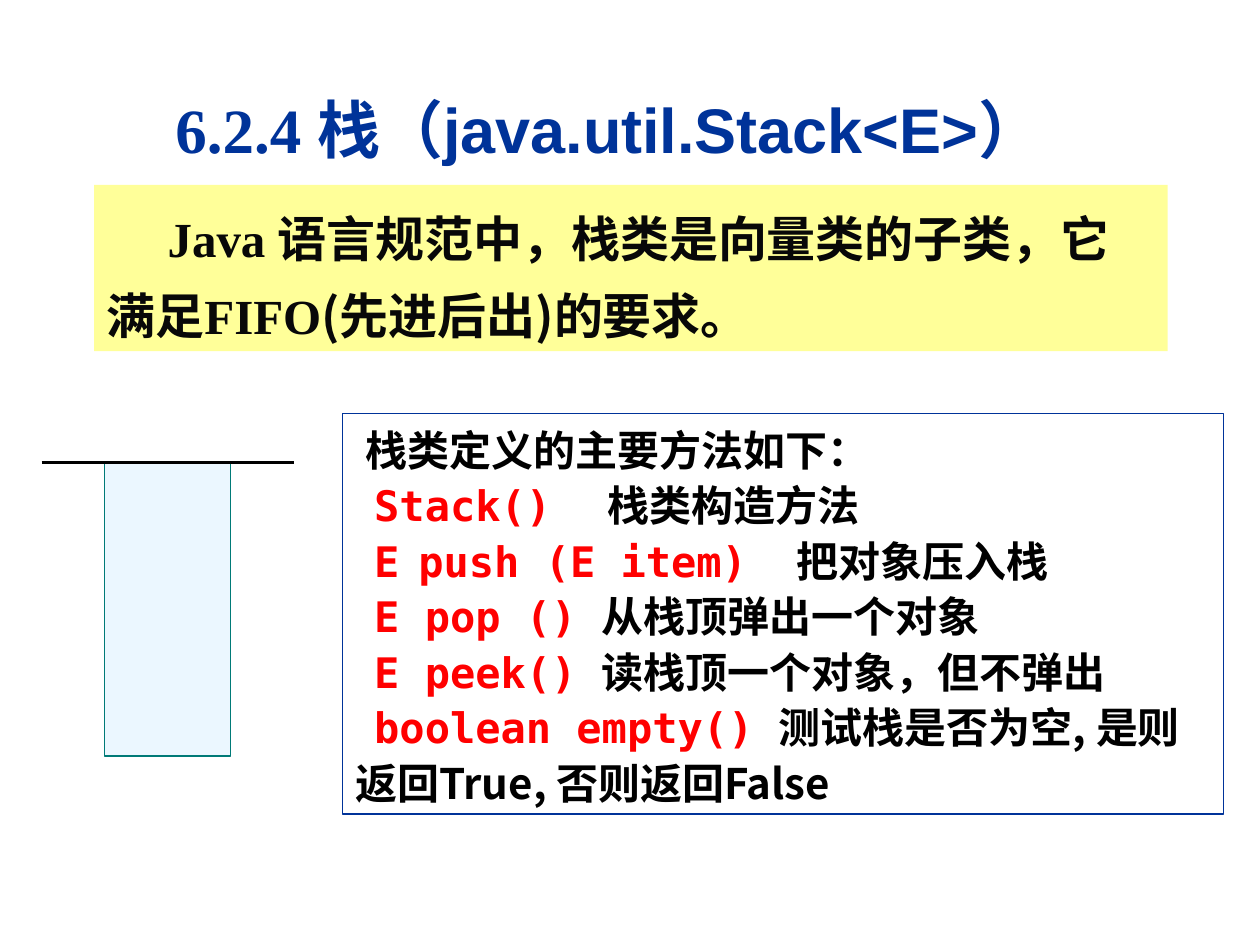
"""Build the slide on the Stack class and its methods."""
from lxml import etree
from pptx import Presentation
from pptx.dml.color import RGBColor
from pptx.enum import shapes, text
from pptx.oxml.ns import qn
from pptx.util import Cm, Pt

COLORS = {"navy": "003399", "black": "000000", "ink": "080808", "red": "FF0000",
          "yellow": "FFFF99", "ice": "EBF7FF", "teal": "007A77"}
CJK, MONO, SERIF, SANS = "Noto Sans CJK SC", "DejaVu Sans Mono", "Times New Roman", "Arial"

TITLE = [("6.2.4 栈", SERIF), ("（java.util.Stack<E>）", SANS)]
INTRO = [("Java ", SERIF), ("语言规范中，栈类是向量类的子类，它满足", CJK),
         ("FIFO", SERIF), ("(先进后出)的要求。", CJK)]
HEADING = "栈类定义的主要方法如下："
METHODS = [
    ("Stack()\t", "栈类构造方法", [6.7]),
    ("E\tpush (E item)\t", "把对象压入栈", [1.9, 9.32]),
    ("E pop () ", "从栈顶弹出一个对象", []),
    ("E peek() ", "读栈顶一个对象，但不弹出", []),
    ("boolean empty() ", "测试栈是否为空, 是则返回True, 否则返回False", []),
]


def rgb(name):
    return RGBColor.from_string(COLORS[name])


def place(sp, left, top, width, height):
    sp.left, sp.top, sp.width, sp.height = Cm(left), Cm(top), Cm(width), Cm(height)


def setup(sp, anchor):
    tf = sp.text_frame
    tf.word_wrap = True
    tf.auto_size = text.MSO_AUTO_SIZE.NONE
    tf.vertical_anchor = anchor
    return tf


def add_run(p, words, font, size, color):
    r = p.add_run()
    r.text = words
    r.font.name, r.font.size, r.font.bold = font, Pt(size), True
    r.font.color.rgb = rgb(color)
    etree.SubElement(r.font._element, qn("a:ea"), typeface=CJK)


def format_paragraph(p, spacing=1.0, indent=0, tabs=(), align=text.PP_ALIGN.LEFT):
    p.alignment, p.line_spacing = align, spacing
    p.space_before = p.space_after = Pt(0)
    pr = p._p.get_or_add_pPr()
    pr.set("marL", "0")
    pr.set("indent", str(Cm(indent)))
    etree.SubElement(pr, qn("a:buNone"))
    if tabs:
        stops = etree.SubElement(pr, qn("a:tabLst"))
        for pos in tabs:
            etree.SubElement(stops, qn("a:tab"), pos=str(Cm(pos)), algn="l")


def add_rect(s, box, fill, line=None):
    sp = s.shapes.add_shape(shapes.MSO_SHAPE.RECTANGLE, *map(Cm, box))
    sp.shadow.inherit = False
    sp.fill.solid()
    sp.fill.fore_color.rgb = rgb(fill)
    if line:
        sp.line.color.rgb, sp.line.width = rgb(line), Pt(0.75)
    else:
        sp.line.fill.background()
    return sp


def main():
    prs = Presentation()
    prs.slide_width, prs.slide_height = Cm(25.4), Cm(19.05)
    s = prs.slides.add_slide(prs.slide_layouts[1])
    title, body = s.placeholders

    place(title, 0.84, 1.47, 22.86, 2.01)
    p = setup(title, text.MSO_ANCHOR.BOTTOM).paragraphs[0]
    format_paragraph(p, align=text.PP_ALIGN.CENTER)
    for words, font in TITLE:
        add_run(p, words, font, 36, "navy")

    place(body, 6.91, 8.33, 17.75, 8.08)
    body.line.color.rgb, body.line.width = rgb("navy"), Pt(0.75)
    tf = setup(body, text.MSO_ANCHOR.TOP)
    p = tf.paragraphs[0]
    format_paragraph(p, spacing=1.1, indent=0.2)
    add_run(p, HEADING, CJK, 24, "black")
    for code, meaning, tabs in METHODS:
        p = tf.add_paragraph()
        format_paragraph(p, spacing=1.1, indent=0.38, tabs=tabs)
        add_run(p, code, MONO, 24, "red")
        add_run(p, meaning, CJK, 24, "black")

    intro = add_rect(s, (1.9, 3.73, 21.64, 3.35), "yellow")
    p = setup(intro, text.MSO_ANCHOR.TOP).paragraphs[0]
    format_paragraph(p, spacing=1.3, indent=1.23)
    for words, font in INTRO:
        add_run(p, words, font, 28, "ink")

    add_rect(s, (2.11, 9.32, 2.54, 5.92), "ice", "teal")
    rim = s.shapes.add_connector(shapes.MSO_CONNECTOR.STRAIGHT,
                                 Cm(0.84), Cm(9.32), Cm(5.92), Cm(9.32))
    rim.line.color.rgb, rim.line.width = rgb("black"), Pt(2)
    etree.SubElement(rim._element.spPr, qn("a:effectLst"))
    prs.save("out.pptx")


if __name__ == "__main__":
    main()
